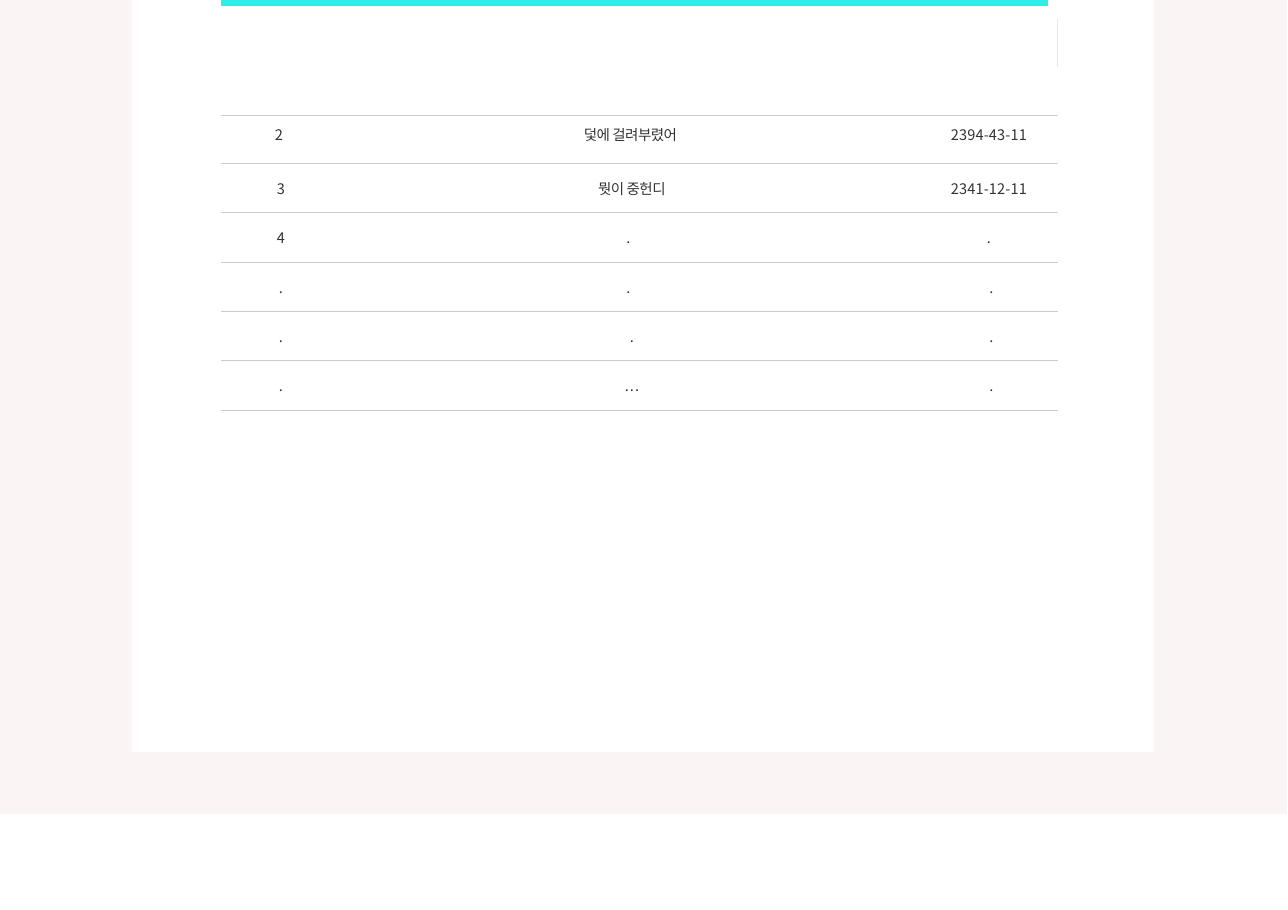
import pptx
import pptx.util
import pptx.dml.color
import pptx.enum.shapes
import pptx.enum.text
import pptx.oxml
import pptx.oxml.ns
import lxml.etree

RGB = pptx.dml.color.RGBColor
PINK = RGB(0xFB, 0xF4, 0xF4)
WHITE = RGB(0xFF, 0xFF, 0xFF)
PALE = RGB(0xE9, 0xE9, 0xE9)
GREY = RGB(0xCC, 0xCC, 0xCC)
CYAN = RGB(0x2D, 0xED, 0xE8)
INK = RGB(0x33, 0x33, 0x33)
FONT = "Noto Sans CJK KR"
THIN = 0.7

ROWS = [
    [("2", 54, 0), ("덫에 걸려부렸어", 13, -30), ("2394-43-11", 105, 10)],
    [("3", 56, 0), ("뭣이 중헌디", 16, -30), ("2341-12-11", 105, 10)],
    [("4", 56, 0), (".", 9, 0), (".", 105, 0)],
    [(".", 58, 0), (".", 9, 0), (".", 110, 0)],
    [(".", 58, 0), (".", 16, 0), (".", 110, 0)],
    [(".", 58, 0), ("...", 16, 70), (".", 110, 0)],
]
WIDTHS = [212, 382, 243]
HEIGHTS = [40, 49, 50, 49, 49, 39]
PANELS = [
    (0, 0, 1287, 814, PINK),
    (132, 0, 1022, 752, WHITE),
    (1057, 18, 1, 49, PALE),
]
LEFT, TOP = 221, 124
STOPS = [LEFT, 338, 922, 1058]
RULES = [(x, end, y, GREY, THIN)
         for y in (115.5, 410.5) for x, end in zip(STOPS, STOPS[1:])]
RULES.append((LEFT, 1048, 3, CYAN, 4.2))


def px(n):
    return round(n * 914400 / 110.2)


def panel(x, y, w, h, color):
    box = slide.shapes.add_shape(
        pptx.enum.shapes.MSO_SHAPE.RECTANGLE, px(x), px(y), px(w), px(h))
    box.shadow.inherit = False
    box.fill.solid()
    box.fill.fore_color.rgb = color
    box.line.fill.background()


def rule(x, end, y, color, width):
    line = slide.shapes.add_connector(
        pptx.enum.shapes.MSO_CONNECTOR.STRAIGHT, px(x), px(y), px(end), px(y))
    line.line.color.rgb = color
    line.line.width = pptx.util.Pt(width)
    lxml.etree.SubElement(
        line._element.spPr, pptx.oxml.ns.qn("a:effectLst"))


def edge(cell, side, drawn):
    fill = "<a:noFill/>"
    if drawn:
        fill = f'<a:solidFill><a:srgbClr val="{GREY}"/></a:solidFill>'
    cell._tc.get_or_add_tcPr().append(pptx.oxml.parse_xml(
        f'<a:ln{side} {pptx.oxml.ns.nsdecls("a")} '
        f'w="{pptx.util.Pt(THIN)}">{fill}</a:ln{side}>'))


def write(cell, row, col, text, indent, gap):
    cell.margin_left = px(indent)
    cell.margin_right = cell.margin_bottom = 0
    cell.margin_top = px(13.5 if row else 0)
    cell.text_frame.text = text
    para = cell.text_frame.paragraphs[0]
    align = pptx.enum.text.PP_ALIGN
    para.alignment = align.CENTER if col else align.LEFT
    run = para.runs[0]
    run.font.name = FONT
    run.font.size = pptx.util.Pt(9.5)
    run.font.color.rgb = INK
    props = run.font._element
    props.set("spc", str(gap))
    lxml.etree.SubElement(
        props, pptx.oxml.ns.qn("a:ea"), typeface=FONT)
    for side, drawn in (("L", False), ("R", False), ("T", row > 0),
                        ("B", row < len(ROWS) - 1)):
        edge(cell, side, drawn)
    cell.fill.solid()
    cell.fill.fore_color.rgb = WHITE


deck = pptx.Presentation()
deck.slide_width, deck.slide_height = px(1288), px(910)
slide = deck.slides.add_slide(deck.slide_layouts[6])

for item in PANELS:
    panel(*item)
for item in RULES:
    rule(*item)

grid = slide.shapes.add_table(
    len(ROWS), len(WIDTHS), px(LEFT), px(TOP),
    px(sum(WIDTHS)), px(sum(HEIGHTS))).table
grid.first_row = grid.horz_banding = False
for col, width in enumerate(WIDTHS):
    grid.columns[col].width = px(width)
for row, cells in enumerate(ROWS):
    grid.rows[row].height = px(HEIGHTS[row])
    for col, entry in enumerate(cells):
        write(grid.cell(row, col), row, col, *entry)

deck.save("out.pptx")
